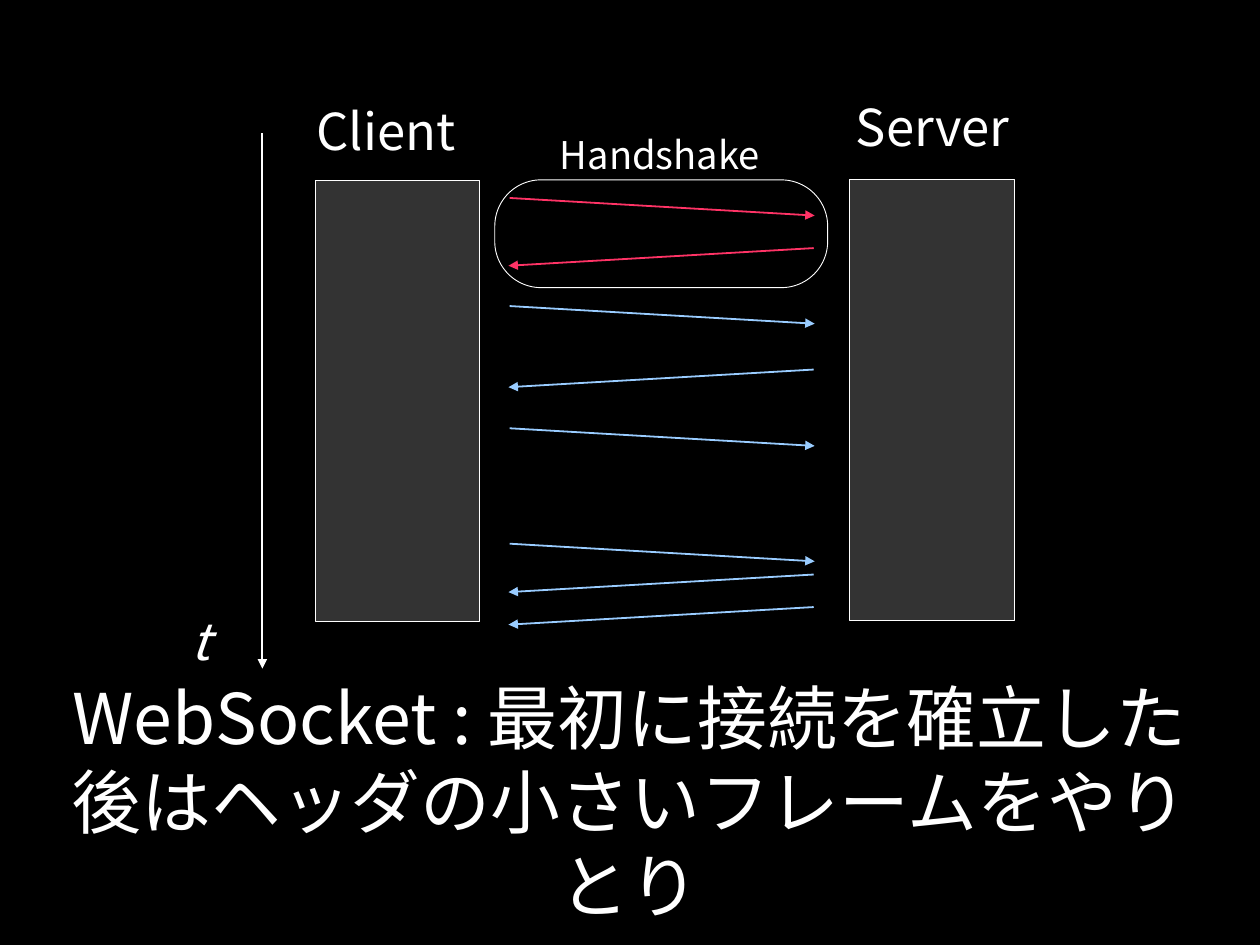
from lxml.etree import SubElement
from pptx import Presentation
from pptx.dml.color import RGBColor
from pptx.enum.shapes import MSO_CONNECTOR, MSO_SHAPE
from pptx.enum.text import MSO_ANCHOR, PP_ALIGN
from pptx.oxml.ns import qn
from pptx.util import Pt

FONT = "Noto Sans CJK JP"
WHITE, BLACK, GRAY = "FFFFFF", "000000", "333333"
RED, BLUE = "FF3366", "99CCFF"


def color(code):
    return RGBColor.from_string(code)


class Deck:
    def __init__(self, slide):
        self.slide = slide
        self.shapes = slide.shapes
        back = slide.background.fill
        back.solid()
        back.fore_color.rgb = color(BLACK)

    def style(self, par, size, italic=False):
        font = par.font
        font.size, font.name = Pt(size), FONT
        font.bold, font.italic = False, italic
        font.color.rgb = color(WHITE)
        props = par._p.get_or_add_pPr().find(qn("a:defRPr"))
        SubElement(props, qn("a:ea"), typeface=FONT)

    def title(self, text, left, top, width, height, size):
        shape = self.shapes.title
        shape.left, shape.top = Pt(left), Pt(top)
        shape.width, shape.height = Pt(width), Pt(height)
        frame = shape.text_frame
        frame.text = text
        frame.word_wrap = True
        frame.vertical_anchor = MSO_ANCHOR.MIDDLE
        frame.margin_left = frame.margin_right = 0
        frame.margin_top = frame.margin_bottom = 0
        par = frame.paragraphs[0]
        par.alignment = PP_ALIGN.CENTER
        self.style(par, size)

    def label(self, text, left, top, width, height, size, italic=False):
        box = self.shapes.add_textbox(Pt(left), Pt(top), Pt(width), Pt(height))
        frame = box.text_frame
        frame.word_wrap = True
        frame.text = text
        self.style(frame.paragraphs[0], size, italic)

    def box(self, kind, left, top, width, height, fill=None):
        shape = self.shapes.add_shape(
            kind, Pt(left), Pt(top), Pt(width), Pt(height))
        shape.shadow.inherit = False
        if fill:
            shape.fill.solid()
            shape.fill.fore_color.rgb = color(fill)
        else:
            shape.fill.background()
        shape.line.color.rgb = color(WHITE)
        shape.line.width = Pt(0.57)
        return shape

    def arrow(self, x1, y1, x2, y2, tint):
        line = self.shapes.add_connector(
            MSO_CONNECTOR.STRAIGHT, Pt(x1), Pt(y1), Pt(x2), Pt(y2))
        line.line.color.rgb = color(tint)
        line.line.width = Pt(1.13)
        SubElement(line.line._get_or_add_ln(), qn("a:tailEnd"), type="triangle")
        SubElement(line._element.spPr, qn("a:effectLst"))


def main():
    deck = Presentation()
    deck.slide_width, deck.slide_height = Pt(793.7), Pt(595.28)
    page = Deck(deck.slides.add_slide(deck.slide_layouts[5]))

    # Client and server columns
    page.box(MSO_SHAPE.RECTANGLE, 198.5, 113.5, 103.7, 277.8, GRAY)
    page.box(MSO_SHAPE.RECTANGLE, 535.3, 113, 103.7, 277.8, GRAY)
    page.label("Client", 192.2, 59, 159, 54, 32)
    page.label("Server", 532, 56.7, 159, 78.5, 32)

    # Time axis
    page.arrow(165.3, 84, 165.3, 421.2, WHITE)
    page.label("t", 113.2, 380.7, 33, 54, 32, italic=True)

    # Messages: each drops by the same amount on its way
    drop = 11.1
    for y, tint in ((124.7, RED), (192.8, BLUE), (269.8, BLUE), (342.5, BLUE)):
        page.arrow(321, y, 513.2, y + drop, tint)
    for y, tint in ((156.3, RED), (232.8, BLUE), (361.9, BLUE), (382.4, BLUE)):
        page.arrow(512.6, y, 320.3, y + drop, tint)

    # Handshake frame
    frame = page.box(MSO_SHAPE.ROUNDED_RECTANGLE, 311.7, 113.3, 209.7, 67.9)
    frame.adjustments[0] = 0.43
    page.label("Handshake", 345.6, 79.2, 159, 39.6, 24)

    # Caption
    page.title("WebSocket : 最初に接続を確立した後はヘッダの小さいフレームをやりとり",
               39.6, 408.7, 714.2, 191.5, 44)

    deck.save("out.pptx")


if __name__ == "__main__":
    main()
